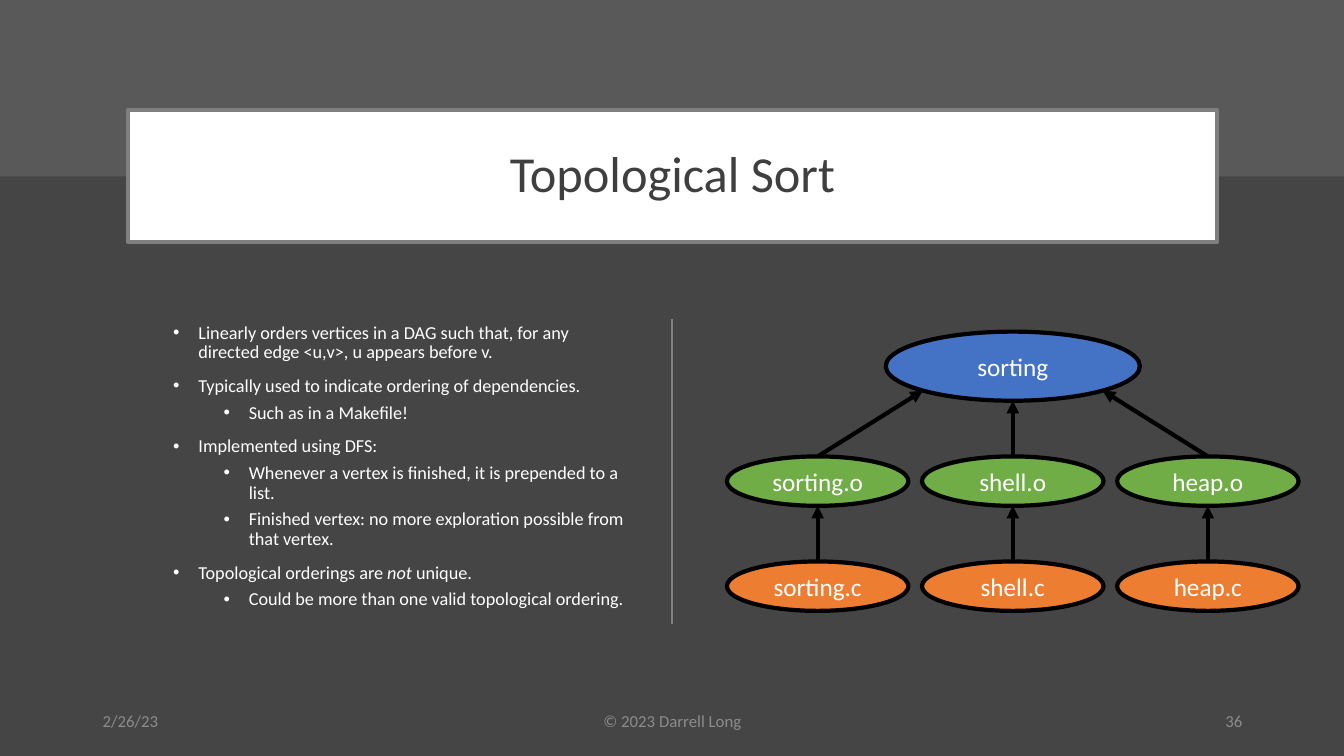
import math
from collections import namedtuple
from lxml import etree
from pptx import Presentation, util as u
from pptx.dml.color import RGBColor
from pptx.enum import shapes, text
from pptx.oxml import ns

BACKGROUND = RGBColor(0x45, 0x45, 0x45)
BAND = RGBColor(0x59, 0x59, 0x59)
RULE = RGBColor(0x7F, 0x7F, 0x7F)
TITLE = RGBColor(0x3F, 0x3F, 0x3F)
FOOTER = RGBColor(0x8C, 0x8C, 0x8C)
WHITE = RGBColor(0xFF, 0xFF, 0xFF)
BLACK = RGBColor(0, 0, 0)
BLUE = RGBColor(0x44, 0x72, 0xC4)
GREEN = RGBColor(0x70, 0xAD, 0x47)
ORANGE = RGBColor(0xED, 0x7D, 0x31)

Box = namedtuple("Box", "left top width height")
SLIDE = Box(0, 0, 13.33, 7.5)

POINTS = [
    (0, ["Linearly orders vertices in a DAG such that, for any directed edge <u,v>, u appears before v."]),
    (0, ["Typically used to indicate ordering of dependencies."]),
    (1, ["Such as in a Makefile!"]),
    (0, ["Implemented using DFS:"]),
    (1, ["Whenever a vertex is finished, it is prepended to a list."]),
    (1, ["Finished vertex: no more exploration possible from that vertex."]),
    (0, ["Topological orderings are ", "not ", "unique."]),
    (1, ["Could be more than one valid topological ordering."]),
]
MODULES = ["sorting", "shell", "heap"]


def inches(*lengths):
    return [u.Inches(length) for length in lengths]


def apply(target, formats):
    for name, value in formats.items():
        setattr(target, name, value)


def write(paragraph, words, size, color, **formats):
    run = paragraph.add_run()
    run.text = words
    apply(run.font, {"name": "Calibri", "size": u.Pt(size), **formats})
    run.font.color.rgb = color


def paint(shape, fill, line=None, width=3):
    shape.fill.solid()
    shape.fill.fore_color.rgb = fill
    if line is None:
        shape.line.fill.background()
    else:
        shape.line.color.rgb = line
        shape.line.width = u.Pt(width)


def add_line(parts, start, end, color, width):
    line = parts.add_connector(shapes.MSO_CONNECTOR.STRAIGHT, *inches(*start, *end))
    line.line.color.rgb = color
    line.line.width = u.Pt(width)
    etree.SubElement(line.element.spPr, ns.qn("a:effectLst"))
    return line


def add_heading(slide, box):
    title = slide.shapes.title
    band = slide.shapes.add_shape(
        shapes.MSO_SHAPE.RECTANGLE, *inches(box.left, box.top, box.width, box.height))
    band.shadow.inherit = False
    paint(band, BAND)
    title.element.addprevious(band.element)
    apply(title, dict(zip(["left", "top", "width", "height"], inches(
        box.left + 1.27, box.top + 1.09, box.width - 2.53, box.height * 0.75))))
    paint(title, WHITE, RULE)
    apply(title.text_frame, {"vertical_anchor": text.MSO_ANCHOR.MIDDLE,
                             "auto_size": text.MSO_AUTO_SIZE.NONE, "word_wrap": True})
    paragraph = title.text_frame.paragraphs[0]
    apply(paragraph, {"alignment": text.PP_ALIGN.CENTER, "line_spacing": 0.9})
    write(paragraph, "Topological Sort", 36, TITLE)


def add_points(slide, box):
    frame = slide.shapes.add_textbox(*inches(*box)).text_frame
    frame.word_wrap = True
    for index, (level, pieces) in enumerate(POINTS):
        paragraph = frame.add_paragraph() if index else frame.paragraphs[0]
        properties = paragraph._p.get_or_add_pPr()
        properties.set("marL", str(u.Inches(0.25 + 0.5 * level)))
        properties.set("indent", str(u.Inches(-0.25)))
        etree.SubElement(properties, ns.qn("a:buFont")).set("typeface", "Arial")
        etree.SubElement(properties, ns.qn("a:buChar")).set("char", "•")
        apply(paragraph, {"level": level, "line_spacing": 0.9,
                          "space_before": u.Pt((5 if level else 10) if index else 0)})
        for piece in pieces:
            write(paragraph, piece, 13, WHITE, italic=piece == "not ")


def add_node(parts, label, center, top, width, height, fill):
    node = parts.add_shape(
        shapes.MSO_SHAPE.OVAL, *inches(center - width / 2, top, width, height))
    node.shadow.inherit = False
    paint(node, fill, BLACK)
    frame = node.text_frame
    apply(frame, {"vertical_anchor": text.MSO_ANCHOR.MIDDLE, "word_wrap": True,
                  "margin_top": 0, "margin_bottom": 0})
    frame.paragraphs[0].alignment = text.PP_ALIGN.CENTER
    write(frame.paragraphs[0], label, 18, WHITE)
    return node


def add_arrow(parts, source, start, end):
    arrow = add_line(parts, start, end, BLACK, 3)
    arrow.begin_connect(source, 0)
    etree.SubElement(arrow.line._get_or_add_ln(), ns.qn("a:tailEnd")).set("type", "triangle")


def add_dependencies(slide, box):
    parts = slide.shapes.add_group_shape().shapes
    node_width, node_height = 1.8, 0.49
    root_width, root_height = node_width * 1.4, node_height * 1.4
    gap = (box.height - root_height - 2 * node_height) / 2
    object_top = box.top + root_height + gap
    source_top = object_top + node_height + gap
    middle = box.left + box.width / 2
    pitch = (box.width - node_width) / 2
    add_node(parts, "sorting", middle, box.top, root_width, root_height, BLUE)
    for side, module in enumerate(MODULES, -1):
        center = middle + side * pitch
        object_file = add_node(parts, module + ".o", center, object_top,
                               node_width, node_height, GREEN)
        source_file = add_node(parts, module + ".c", center, source_top,
                               node_width, node_height, ORANGE)
        angle = side * math.pi / 4
        root_end = (middle + root_width / 2 * math.sin(angle),
                    box.top + root_height / 2 * (1 + math.cos(angle)))
        add_arrow(parts, object_file, (center, object_top), root_end)
        add_arrow(parts, source_file, (center, source_top),
                  (center, object_top + node_height))


def add_footer(slide, box):
    align = text.PP_ALIGN
    fields = [("2/26/23", 0, 3, align.LEFT),
              ("© 2023 Darrell Long", 3.5, 4.5, align.CENTER),
              ("36", 8.5, 3, align.RIGHT)]
    for words, offset, width, alignment in fields:
        frame = slide.shapes.add_textbox(
            *inches(box.left + offset, box.top, width, box.height)).text_frame
        apply(frame, {"vertical_anchor": text.MSO_ANCHOR.MIDDLE, "word_wrap": True})
        apply(frame.paragraphs[0], {"alignment": alignment, "space_after": u.Pt(6)})
        write(frame.paragraphs[0], words, 12, FOOTER)


def main():
    deck = Presentation()
    deck.slide_width, deck.slide_height = inches(SLIDE.width, SLIDE.height)
    slide = deck.slides.add_slide(deck.slide_layouts[5])
    slide.background.fill.solid()
    slide.background.fill.fore_color.rgb = BACKGROUND
    add_heading(slide, Box(0, 0, SLIDE.width, 1.75))
    add_points(slide, Box(1.62, 3.16, 4.7, 3.24))
    center = SLIDE.width / 2
    add_line(slide.shapes, (center, 3.16), (center, 6.19), RULE, 1.5)
    add_footer(slide, Box(0.92, 6.95, 11.5, 0.4))
    add_dependencies(slide, Box(7.21, 3.29, 5.67, 2.77))
    deck.save("out.pptx")


if __name__ == "__main__":
    main()
